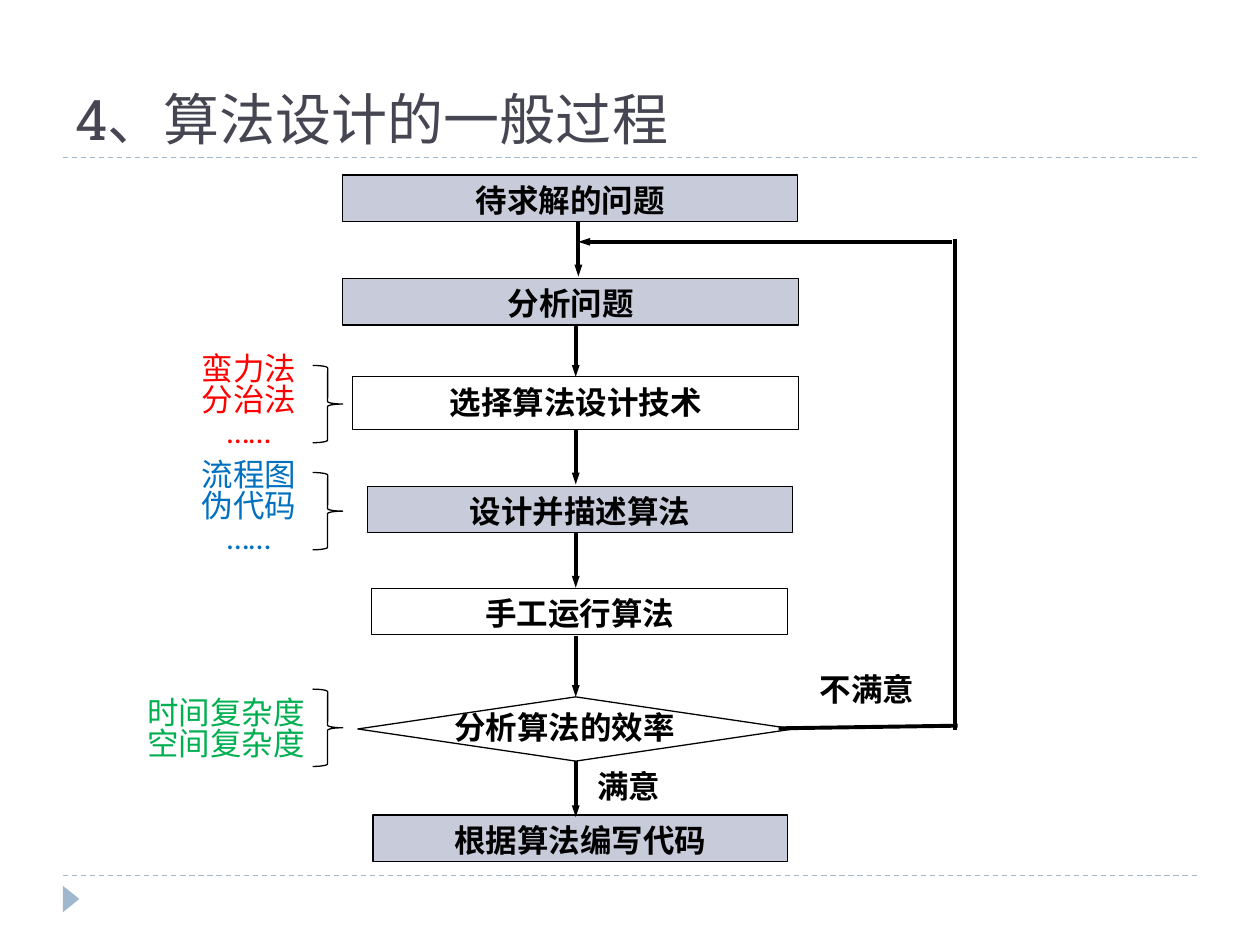
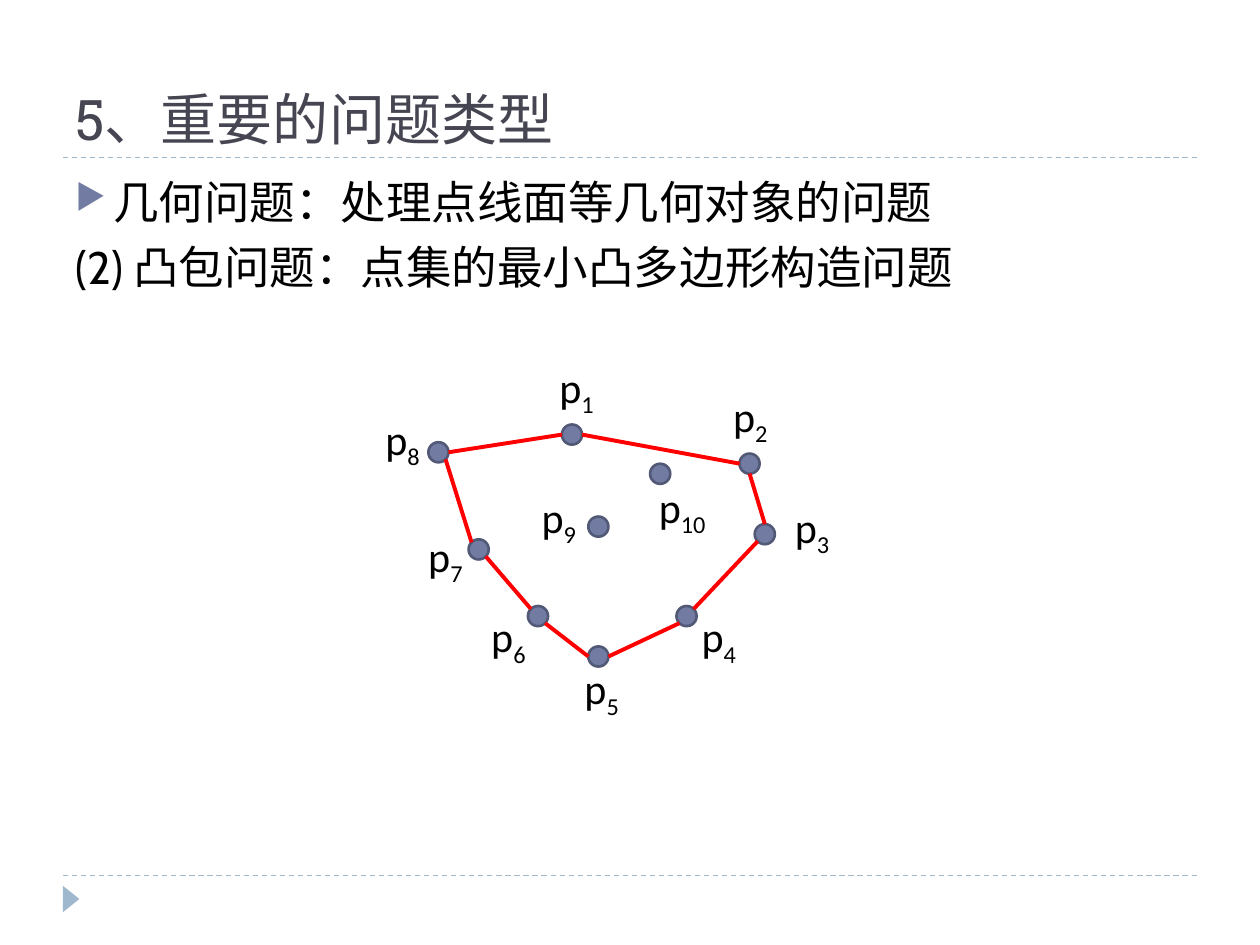
from math import cos, radians, sin

from lxml.etree import SubElement
from pptx import Presentation
from pptx.dml.color import RGBColor
from pptx.enum.dml import MSO_LINE
from pptx.enum.shapes import MSO_CONNECTOR, MSO_SHAPE
from pptx.enum.text import MSO_ANCHOR, PP_ALIGN
from pptx.oxml.ns import qn
from pptx.util import Pt

COLORS = {
    "black": "000000",
    "title": "464653",
    "rule": "9FB8CD",
    "step": "C7CBDA",
    "accent": "727CA3",
    "dot_edge": "525977",
    "red": "FF0000",
    "blue": "0070C0",
    "green": "00B050",
}
BOX_INSETS = (4.3, 0)
TEXT_INSETS = (7.2, 3.6)
DOT = 11.5


def rgb(name):
    return RGBColor.from_string(COLORS[name])


def write_text(tf, text, font="Calibri", size=18, color="black", bold=False, align=PP_ALIGN.LEFT,
               spacing=None, before=0, hanging=0, bullets=(), subscript=""):
    for i, line in enumerate(text.split("\n")):
        p = tf.paragraphs[0] if i == 0 else tf.add_paragraph()
        p.alignment = align
        if spacing:
            p.line_spacing = Pt(spacing)
        if before and i:
            p.space_before = Pt(before)
        if hanging:
            pPr = p._p.get_or_add_pPr()
            pPr.set("marL", str(Pt(hanging)))
            pPr.set("indent", str(-Pt(hanging)))
            if i in bullets:
                clr = SubElement(pPr, qn("a:buClr"))
                SubElement(clr, qn("a:srgbClr"), val=COLORS["accent"])
                SubElement(pPr, qn("a:buSzPct"), val="76000")
                SubElement(pPr, qn("a:buFont"), typeface="OpenSymbol")
                SubElement(pPr, qn("a:buChar"), char="▶")
        for part in filter(None, (line, subscript)):
            r = p.add_run()
            r.text = part
            r.font.name = font
            r.font.size = Pt(size)
            r.font.bold = bold
            r.font.color.rgb = rgb(color)
            if part is subscript:
                r._r.get_or_add_rPr().set("baseline", "-25000")


class Deck:
    def __init__(self):
        self.prs = Presentation()
        self.prs.slide_width = Pt(720)
        self.prs.slide_height = Pt(540)
        self.s = None

    def slide(self, title):
        self.s = self.prs.slides.add_slide(self.prs.slide_layouts[6])
        for y in (500.4, 90):
            rule = self.line((36, y), (684, y), color="rule", width=0.75)
            rule.line.dash_style = MSO_LINE.DASH
        marker = self.shape(MSO_SHAPE.ISOSCELES_TRIANGLE, 33.1, 509, 15.1, 9.4, fill="rule", edge=None)
        marker.rotation = 90
        self.text(title, 36, 12.2, 648, 77.8, anchor=MSO_ANCHOR.BOTTOM,
                  font="Roboto Slab", size=32, color="title")

    def frame(self, sp, insets, wrap=True, anchor=MSO_ANCHOR.TOP):
        tf = sp.text_frame
        tf.word_wrap = wrap
        tf.vertical_anchor = anchor
        tf.margin_left = tf.margin_right = Pt(insets[0])
        tf.margin_top = tf.margin_bottom = Pt(insets[1])
        return tf

    def text(self, text, x, y, w, h, insets=TEXT_INSETS, wrap=True, anchor=MSO_ANCHOR.TOP, **fmt):
        sp = self.s.shapes.add_textbox(Pt(x), Pt(y), Pt(w), Pt(h))
        write_text(self.frame(sp, insets, wrap, anchor), text, **fmt)
        return sp

    def shape(self, kind, x, y, w, h, fill=None, edge="black", width=0.75):
        sp = self.s.shapes.add_shape(kind, Pt(x), Pt(y), Pt(w), Pt(h))
        sp.shadow.inherit = False
        if fill:
            sp.fill.solid()
            sp.fill.fore_color.rgb = rgb(fill)
        else:
            sp.fill.background()
        if edge:
            sp.line.color.rgb = rgb(edge)
            sp.line.width = Pt(width)
        else:
            sp.line.fill.background()
        return sp

    def box(self, text, x, y, w, h, fill, **fmt):
        sp = self.shape(MSO_SHAPE.RECTANGLE, x, y, w, h, fill)
        write_text(self.frame(sp, BOX_INSETS), text, **fmt)
        return sp

    def line(self, start, end, color="black", width=2.25, arrow=False):
        ends = [Pt(v) for v in (*start, *end)]
        cx = self.s.shapes.add_connector(MSO_CONNECTOR.STRAIGHT, *ends)
        cx.line.color.rgb = rgb(color)
        cx.line.width = Pt(width)
        if arrow:
            SubElement(cx.line._get_or_add_ln(), qn("a:tailEnd"), type="triangle", w="sm", len="med")
        SubElement(cx._element.spPr, qn("a:effectLst"))
        return cx


def design_process(deck):
    deck.slide("4、算法设计的一般过程")
    bold = dict(font="Times New Roman", bold=True)
    step = dict(bold, align=PP_ALIGN.CENTER, spacing=25)

    decision = deck.shape(MSO_SHAPE.DIAMOND, 204.5, 398.2, 249, 36.7)
    steps = [
        ("待求解的问题", 195.8, 100.1, 260, 26.6, "step"),
        ("分析问题", 195.8, 159.1, 260.6, 26.6, "step"),
        ("选择算法设计技术", 201.5, 215.3, 255, 30.2, None),
        ("设计并描述算法", 210.2, 277.9, 242.6, 26.6, "step"),
        ("手工运行算法", 212.4, 336.2, 237.6, 26.6, None),
        ("根据算法编写代码", 213.1, 465.8, 236.9, 26.6, "step"),
    ]
    boxes = [deck.box(*row, **step) for row in steps]
    choose = boxes[2]
    deck.text("分析算法的效率", 207.4, 401, 230.4, 26.6, insets=BOX_INSETS, **step)

    flow = [(330.5, 126), (329, 185), (329, 244.8), (329, 303.8), (329, 363.6), (329, 434.9)]
    arrows = [deck.line((x, y), (x, y + 32), arrow=True) for x, y in flow]
    arrows[1].end_connect(choose, 0)
    arrows[2].begin_connect(choose, 2)
    arrows[4].end_connect(decision, 0)
    arrows[5].begin_connect(decision, 2)

    deck.line((445, 416.2), (547.2, 414.7))
    deck.line((545.8, 416.9), (545.8, 136.8))
    deck.line((544.3, 138.2), (330.5, 138.2), arrow=True)
    deck.text("不满意", 461.5, 379.4, 74.9, 28.8, **bold)
    deck.text("满意", 334.1, 434.9, 74.9, 28.8, **bold)

    notes = [
        ("蛮力法\n分治法\n……", 108, 199.4, 68.4, 61.2, "red", 208.8),
        ("流程图\n伪代码\n……", 108, 259.9, 68.4, 61.2, "blue", 270),
        ("时间复杂度\n空间复杂度", 77, 396, 104.4, 43.2, "green", 393.8),
    ]
    for text, x, y, w, h, color, brace_y in notes:
        deck.text(text, x, y, w, h, wrap=False, color=color, align=PP_ALIGN.CENTER, spacing=18)
        deck.shape(MSO_SHAPE.RIGHT_BRACE, 178.6, brace_y, 17.2, 44.2)


def rim(dot, angle):
    x, y = dot
    r = DOT / 2
    return x + r + r * cos(radians(angle)), y + r - r * sin(radians(angle))


def convex_hull(deck):
    deck.slide("5、重要的问题类型")
    deck.text("几何问题：处理点线面等几何对象的问题\n(2) 凸包问题：点集的最小凸多边形构造问题",
              36, 95.8, 648, 388.8, font="Cabin", size=26, before=6, hanging=21.6, bullets=(0,))

    points = {
        1: ((321.1, 242.6), (312.5, 203)),
        2: ((422.6, 259.2), (411.8, 219.6)),
        3: ((431.3, 299.5), (447.1, 283)),
        4: ((386.6, 346.3), (393.8, 345.6)),
        5: ((336.2, 369.4), (326.9, 375.1)),
        6: ((301.7, 346.3), (273.6, 345.6)),
        7: ((267.8, 308.2), (237.6, 299.5)),
        8: ((244.8, 252.7), (213.1, 232.6)),
        9: ((336.2, 295.2), (302.4, 277.2)),
        10: ((371.5, 265), (369.4, 271.4)),
    }
    hull = [
        (8, 0, 1, 180), (1, 0, 2, 180), (2, 270, 3, 90), (3, 225, 4, 45),
        (4, 225, 5, 0), (5, 180, 6, 315), (6, 135, 7, 315), (7, 135, 8, 315),
    ]
    for dot, _ in points.values():
        deck.shape(MSO_SHAPE.OVAL, *dot, DOT, DOT, fill="accent", edge="dot_edge", width=1.5)
    for a, leave, b, arrive in hull:
        deck.line(rim(points[a][0], leave), rim(points[b][0], arrive), color="red")
    for n, (_, label) in points.items():
        deck.text("p", *label, 44 if n > 9 else 37, 40.3, size=24, subscript=str(n))


def main():
    deck = Deck()
    design_process(deck)
    convex_hull(deck)
    deck.prs.save("out.pptx")


if __name__ == "__main__":
    main()
